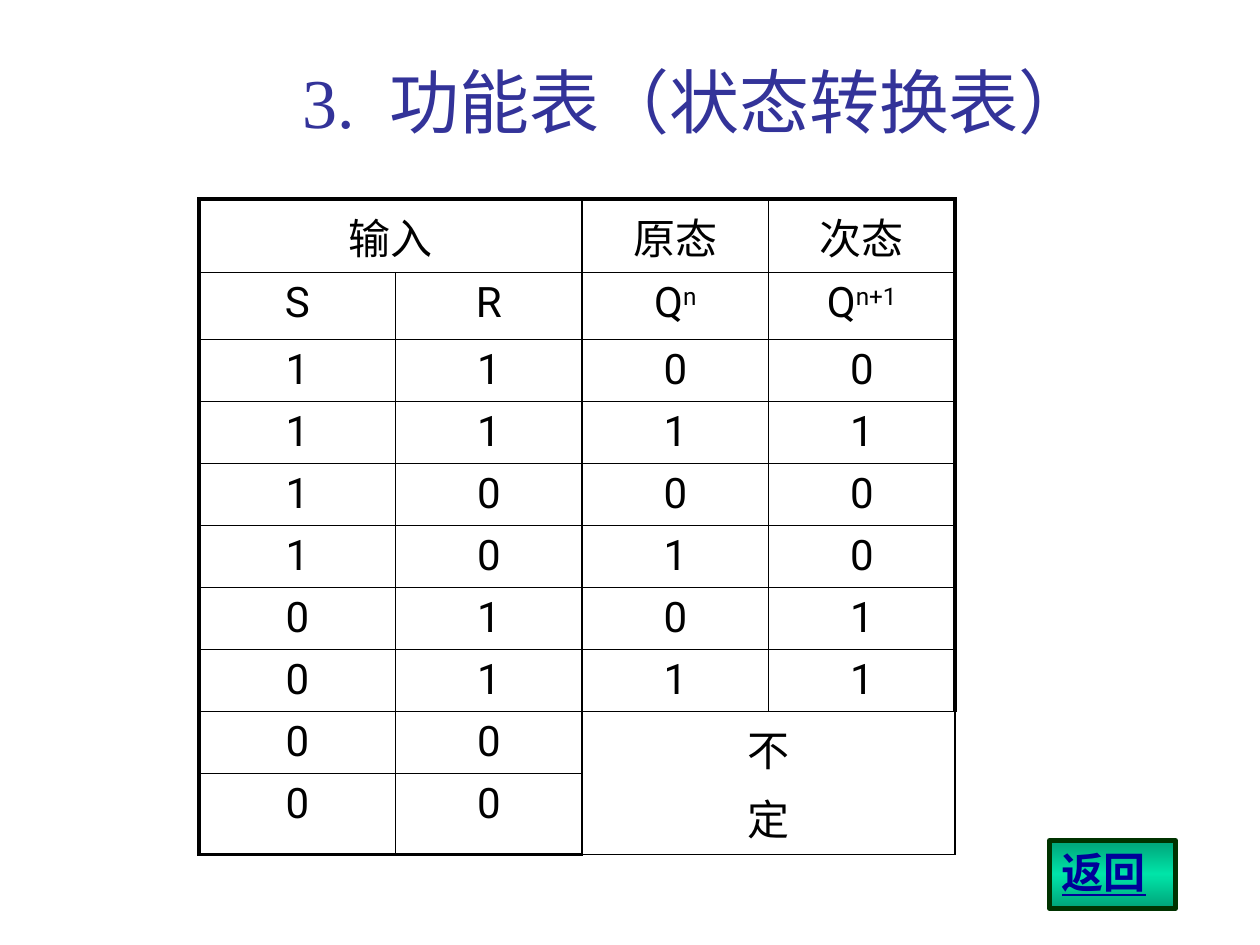
from copy import deepcopy

from lxml.etree import SubElement
from pptx import Presentation
from pptx.dml.color import RGBColor
from pptx.enum.shapes import MSO_SHAPE as Shape
from pptx.enum.text import MSO_ANCHOR as Anchor, MSO_AUTO_SIZE as AutoSize, PP_ALIGN as Align
from pptx.oxml.ns import qn
from pptx.util import Inches, Pt


def color(hex_text):
    return RGBColor.from_string(hex_text)


def format_para(para, size, font, hex_text, before=0):
    """Format the runs and set the space before as a percentage of the line."""
    for span in para.runs:
        span.font.size = Pt(size)
        span.font.name = font
        span.font.color.rgb = color(hex_text)
    if before:
        para.space_before = Pt(0)
        space = para._p.pPr.find(qn("a:spcBef"))
        space.remove(space[0])
        SubElement(space, qn("a:spcPct"), val=str(before * 1000))


deck = Presentation()
deck.slide_width, deck.slide_height = Inches(10), Inches(7.5)
page = deck.slides.add_slide(deck.slide_layouts[5])

# Title
title = page.shapes.title
title.left, title.top = Inches(1.26), Inches(0.25)
title.width, title.height = Inches(8.52), Inches(0.93)
title.text_frame.text = "3.  功能表（状态转换表）"
title.text_frame.vertical_anchor = Anchor.BOTTOM
title.text_frame.paragraphs[0].alignment = Align.CENTER
format_para(title.text_frame.paragraphs[0], 40, "Times New Roman", "333399")

# State table: S, R, present state, next state
rows = [
    ["输入", "", "原态", "次态"],
    ["S", "R", "Q", "Q"],
    *map(list, ["1100", "1111", "1000", "1010", "0101", "0111"]),
    ["0", "0", "不\n定", ""],
    ["0", "0", "", ""],
]
superscripts = {(1, 2): "n", (1, 3): "n+1"}
row_count, column_count = len(rows), len(rows[0])

frame = page.shapes.add_table(row_count, column_count, Inches(1.58), Inches(1.58), Inches(6), Inches(5.03))
table = frame.table
table.first_row = table.horz_banding = False
for index, column in enumerate(table.columns):
    column.width = Inches(1.56 if index == 0 else 1.48)
for index, row in enumerate(table.rows):
    row.height = Inches(0.53 if index == 1 else 0.4)
frame.height = Inches(5.03)
table.cell(0, 0).merge(table.cell(0, 1))
table.cell(8, 2).merge(table.cell(9, 3))

for r, values in enumerate(rows):
    for c, value in enumerate(values):
        cell = table.cell(r, c)
        if value:
            cell.text_frame.text = value
        if (r, c) in superscripts:
            span = cell.text_frame.paragraphs[0].add_run()
            span.text = superscripts[r, c]
            span._r.get_or_add_rPr().set("baseline", "30000")
        for para in cell.text_frame.paragraphs:
            para.alignment = Align.CENTER
            format_para(para, 24, "Roboto", "000000", 20)

        # Thick border around the table, thin lines inside
        outer_edges = {
            "a:lnL": c == 0,
            "a:lnR": c == column_count - 1,
            "a:lnT": r == 0,
            "a:lnB": r == row_count - 1,
        }
        properties = cell._tc.get_or_add_tcPr()
        for tag, is_outer in outer_edges.items():
            line = SubElement(properties, qn(tag), w=str(Pt(2.25 if is_outer else 1)))
            SubElement(SubElement(line, qn("a:solidFill")), qn("a:srgbClr"), val="000000")
        cell.fill.background()

# Return button
button = page.shapes.add_shape(Shape.RECTANGLE, Inches(8.33), Inches(6.67), Inches(1), Inches(0.54))
button.shadow.inherit = False
button.line.color.rgb = color("003300")
button.line.width = Pt(2.75)
button.fill.gradient()
button.fill.gradient_angle = 270
stops = button.fill.gradient_stops
stop_list = stops[0]._gs.getparent()
stop_list.insert(1, deepcopy(stops[0]._gs))
gradient = [(0, "00A378"), (0.5, "00E4A8"), (1, "00A378")]
for stop, (position, hex_text) in zip(button.fill.gradient_stops, gradient):
    stop.position = position
    stop.color.rgb = color(hex_text)

button.text_frame.text = "返回"
button.text_frame.word_wrap = True
button.text_frame.auto_size = AutoSize.SHAPE_TO_FIT_TEXT
button.text_frame.vertical_anchor = Anchor.TOP
para = button.text_frame.paragraphs[0]
para.alignment = Align.LEFT
format_para(para, 24, "Roboto", "000099", 50)
para.runs[0].font.bold = para.runs[0].font.underline = True

deck.save("out.pptx")
